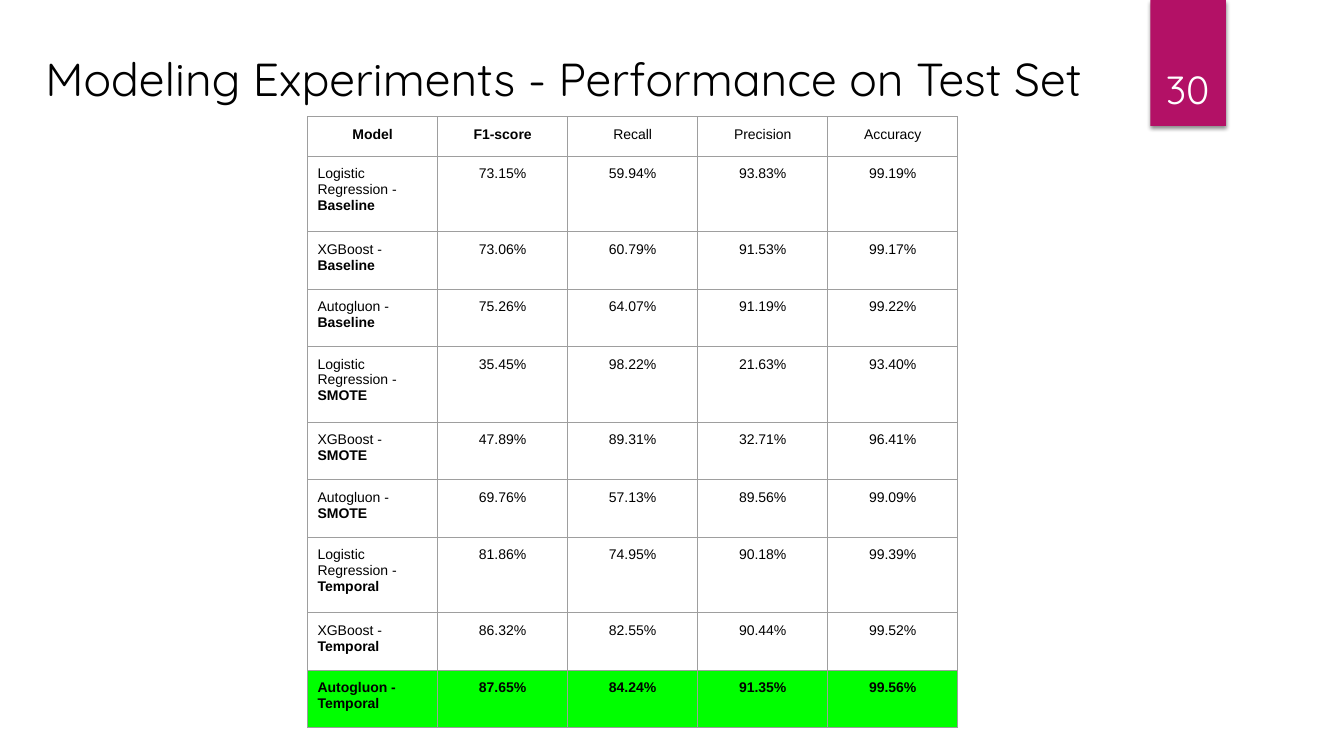
"""Build the slide that compares the models on the test set."""
from dataclasses import dataclass

from lxml.etree import SubElement
from pptx import Presentation
from pptx.dml.color import RGBColor
from pptx.enum.shapes import MSO_SHAPE
from pptx.enum.text import MSO_ANCHOR, MSO_AUTO_SIZE, PP_ALIGN
from pptx.oxml.ns import qn
from pptx.util import Inches, Pt

TITLE = "Modeling Experiments - Performance on Test Set"
NUMBER = "30"
HEADS = ["Model", "F1-score", "Recall", "Precision", "Accuracy"]
SETUPS = ["Baseline", "SMOTE", "Temporal"]
MODELS = [("Logistic Regression", 3), ("XGBoost", 2), ("Autogluon", 2)]
SCORES = [
    ("73.15%", "59.94%", "93.83%", "99.19%"),
    ("73.06%", "60.79%", "91.53%", "99.17%"),
    ("75.26%", "64.07%", "91.19%", "99.22%"),
    ("35.45%", "98.22%", "21.63%", "93.40%"),
    ("47.89%", "89.31%", "32.71%", "96.41%"),
    ("69.76%", "57.13%", "89.56%", "99.09%"),
    ("81.86%", "74.95%", "90.18%", "99.39%"),
    ("86.32%", "82.55%", "90.44%", "99.52%"),
    ("87.65%", "84.24%", "91.35%", "99.56%"),
]

WIDE, HIGH = 13.33, 7.5
LEFT, TOP, COL = 3.05, 1.16, 1.29
PAD, LINE = 0.21, 0.18


@dataclass(frozen=True)
class Theme:
    ink: RGBColor = RGBColor(0, 0, 0)
    paper: RGBColor = RGBColor(255, 255, 255)
    ribbon: RGBColor = RGBColor(0xB3, 0x11, 0x66)
    best: RGBColor = RGBColor(0, 255, 0)
    grid: str = "9E9E9E"
    head: str = "Quicksand"
    body: str = "Arial"
    title: int = 33
    number: int = 28
    cell: int = 10


THEME = Theme()


def style(para, face, size, color, align, bold=False):
    para.alignment = align
    font = para.font
    font.name, font.size, font.bold = face, Pt(size), bold
    font.color.rgb = color


def frame(cell):
    props = cell._tc.get_or_add_tcPr()
    for side in ("a:lnL", "a:lnR", "a:lnT", "a:lnB"):
        line = SubElement(props, qn(side), w=str(Pt(0.75)))
        fill = SubElement(line, qn("a:solidFill"))
        SubElement(fill, qn("a:srgbClr"), val=THEME.grid)


def write(cell, parts, align, best):
    frame(cell)
    if best:
        cell.fill.solid()
        cell.fill.fore_color.rgb = THEME.best
    else:
        cell.fill.background()
    cell.margin_left = cell.margin_right = Inches(0.1)
    cell.margin_top = cell.margin_bottom = Inches(0.1)
    para = cell.text_frame.paragraphs[0]
    same = len({bold for _, bold in parts}) == 1
    style(para, THEME.body, THEME.cell, THEME.ink, align, same and parts[0][1])
    for text, bold in parts:
        run = para.add_run()
        run.text = text
        if not same:
            run.font.bold = bold


def add_ribbon(slide):
    shape = slide.shapes.add_shape(
        MSO_SHAPE.RECTANGLE, Inches(11.41), 0, Inches(0.75), Inches(HIGH / 6))
    shape.fill.solid()
    shape.fill.fore_color.rgb = THEME.ribbon
    shape.line.fill.background()
    shape.shadow.inherit = False
    effect = shape._element.spPr.find(qn("a:effectLst"))
    shade = SubElement(effect, qn("a:outerShdw"), blurRad=str(Pt(3)),
                       dist=str(Pt(2)), dir="5400000", rotWithShape="0")
    color = SubElement(shade, qn("a:srgbClr"), val="000000")
    SubElement(color, qn("a:alpha"), val="45000")

    box = slide.shapes.add_textbox(
        Inches(11.32), Inches(0.32), Inches(0.92), Inches(0.84))
    text = box.text_frame
    text.word_wrap = True
    text.vertical_anchor = MSO_ANCHOR.BOTTOM
    text.text = NUMBER
    style(text.paragraphs[0], THEME.head, THEME.number, THEME.paper,
          PP_ALIGN.CENTER)


def add_title(slide):
    title = slide.shapes.title
    title.left, title.top = Inches(0.35), Inches(0.39)
    title.width, title.height = Inches(11.4), Inches(0.77)
    text = title.text_frame
    text.text = TITLE
    text.word_wrap = True
    text.auto_size = MSO_AUTO_SIZE.NONE
    text.vertical_anchor = MSO_ANCHOR.MIDDLE
    style(text.paragraphs[0], THEME.head, THEME.title, THEME.ink,
          PP_ALIGN.LEFT)


def add_scores(slide):
    names = [(model, setup, lines) for setup in SETUPS
             for model, lines in MODELS]
    rows = [(1, [[(head, col < 2)] for col, head in enumerate(HEADS)])]
    for (model, setup, lines), scores in zip(names, SCORES):
        best = scores == SCORES[-1]
        label = [(f"{model} - ", best), (setup, True)]
        rows.append((lines, [label] + [[(score, best)] for score in scores]))

    tall = [PAD + LINE * lines for lines, _ in rows]
    table = slide.shapes.add_table(
        len(rows), len(HEADS), Inches(LEFT), Inches(TOP),
        Inches(COL * len(HEADS)), Inches(sum(tall))).table
    table.first_row = table.horz_banding = False
    for col in table.columns:
        col.width = Inches(COL)
    for row, (_, cells) in enumerate(rows):
        table.rows[row].height = Inches(tall[row])
        for col, parts in enumerate(cells):
            align = PP_ALIGN.LEFT if row and not col else PP_ALIGN.CENTER
            write(table.cell(row, col), parts, align, row == len(rows) - 1)


def main():
    deck = Presentation()
    deck.slide_width, deck.slide_height = Inches(WIDE), Inches(HIGH)
    slide = deck.slides.add_slide(deck.slide_layouts[5])
    add_title(slide)
    add_ribbon(slide)
    add_scores(slide)
    deck.save("out.pptx")


if __name__ == "__main__":
    main()
